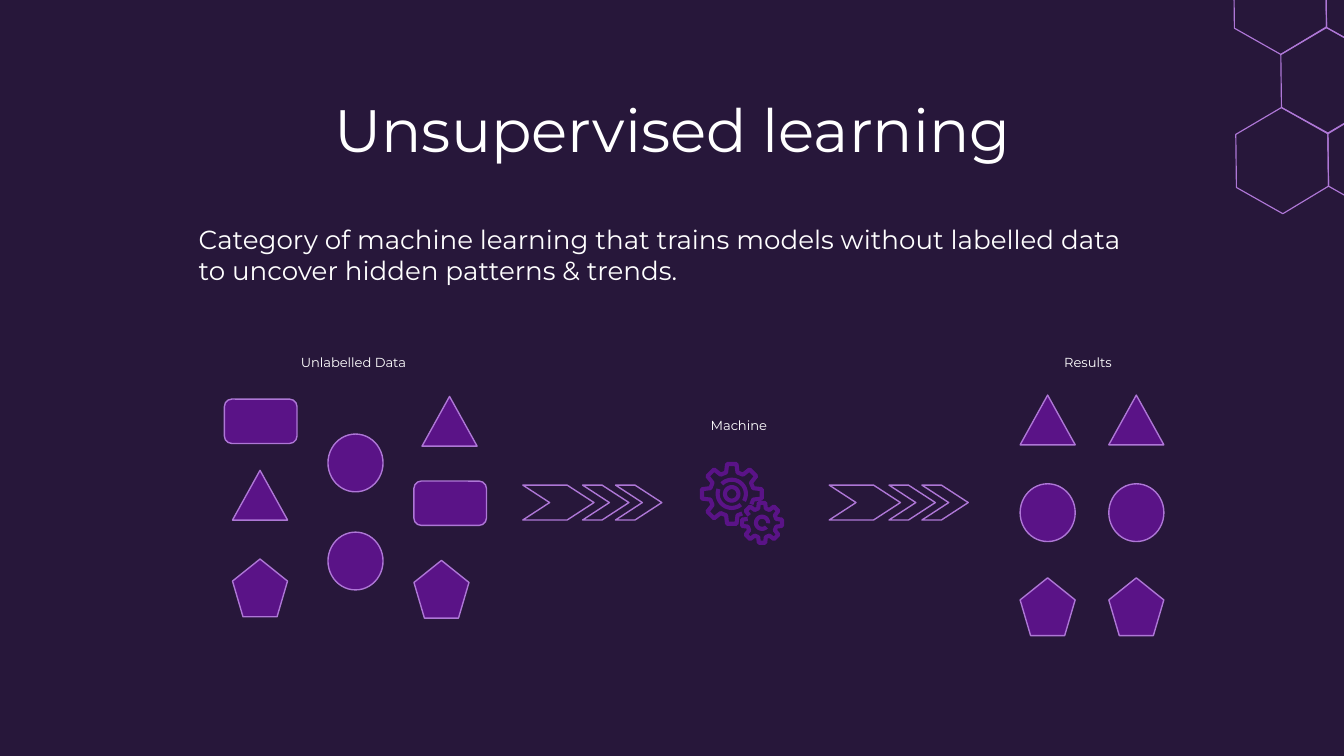
from dataclasses import dataclass
from math import cos, radians, sin

from lxml import etree
from pptx import Presentation
from pptx import util as u
from pptx.dml.color import RGBColor
from pptx.enum import shapes, text
from pptx.oxml.ns import qn

COLUMNS, ROWS = 100, 56.25
CELL = u.Inches(10) / COLUMNS

NIGHT, PURPLE, LILAC, WHITE = "27173A", "5A1387", "AE77D6", "FFFFFF"
FONT = "Montserrat"
Point = tuple[float, float]


@dataclass(frozen=True)
class Kind:
    preset: shapes.MSO_SHAPE
    width: float
    height: float


@dataclass(frozen=True)
class Item:
    kind: Kind
    column: float
    row: float


@dataclass(frozen=True)
class Gear:
    center: Point
    tip: float
    root: float
    first_tooth: int
    teeth: int
    lead: int


@dataclass(frozen=True)
class Arc:
    center: Point
    radius: float
    start: int
    end: int


@dataclass(frozen=True)
class Label:
    words: str
    column: float
    row: float
    width: float
    height: float = 2.3
    size: float = 7


CARD = Kind(shapes.MSO_SHAPE.ROUNDED_RECTANGLE, 5.4, 3.3)
TRIANGLE = Kind(shapes.MSO_SHAPE.FLOWCHART_EXTRACT, 4.1, 3.7)
CIRCLE = Kind(shapes.MSO_SHAPE.OVAL, 4.1, 4.3)
PENTAGON = Kind(shapes.MSO_SHAPE.REGULAR_PENTAGON, 4.1, 4.3)

UNLABELLED = [
    Item(CARD, 16.7, 29.7), Item(TRIANGLE, 17.3, 35), Item(PENTAGON, 17.3, 41.6),
    Item(CIRCLE, 24.4, 32.3), Item(CIRCLE, 24.4, 39.6),
    Item(TRIANGLE, 31.4, 29.5), Item(CARD, 30.8, 35.8), Item(PENTAGON, 30.8, 41.7),
]
RESULTS = [
    Item(kind, column, row)
    for kind, row in ((TRIANGLE, 29.4), (CIRCLE, 36), (PENTAGON, 43))
    for column in (75.9, 82.5)
]
LABELS = [
    Label("Category of machine learning that trains models without labelled "
          "data to uncover hidden patterns & trends.", 13.8, 15.6, 70.7, 7.4, 14),
    Label("Unlabelled Data", 21.4, 25.4, 10.9),
    Label("Machine", 51.9, 30.1, 6.6),
    Label("Results", 78.2, 25.4, 5.9),
]

HEXAGON_CENTERS = [(95.4, 11.95), (102.25, 11.85), (98.75, 6), (95.25, 0.1), (102.1, 0.05)]
HEXAGON_CORNERS = [(3.4, -2.05), (3.45, 1.9), (0.05, 3.95),
                   (-3.4, 2), (-3.45, -1.95), (-0.05, -3.95)]

ARROW_STARTS = (38.9, 61.7)
CHEVRONS = ((0, 5.3), (4.45, 3.45), (6.9, 3.45))
ARROW_TOP, ARROW_HEIGHT, ARROW_POINT = 36.1, 2.6, 2

BIG_HUB, SMALL_HUB = (54.45, 36.75), (56.7, 38.9)
GEARS = [Gear(BIG_HUB, 2.25, 1.65, 90, 7, 13), Gear(SMALL_HUB, 1.5, 1.1, 225, 8, 0)]
ARCS = [
    Arc(BIG_HUB, 0.5, 0, 360),
    Arc(BIG_HUB, 1.05, 225, 390),
    Arc(BIG_HUB, 1.05, 50, 200),
    Arc(SMALL_HUB, 0.45, 45, 365),
]
GEAR_STROKE = 2.2


def color(hex_string: str) -> RGBColor:
    return RGBColor.from_string(hex_string)


def grid(cells: float) -> u.Emu:
    return u.Emu(round(cells * CELL))


def place(shape, column: float, row: float, width: float, height: float) -> None:
    shape.left, shape.top = grid(column), grid(row)
    shape.width, shape.height = grid(width), grid(height)


def write(frame, words: str, *, size: float, align=text.PP_ALIGN.LEFT) -> None:
    frame.word_wrap = True
    frame.auto_size = text.MSO_AUTO_SIZE.NONE
    frame.vertical_anchor = text.MSO_ANCHOR.TOP
    frame.margin_left = frame.margin_right = grid(1)
    frame.margin_top = frame.margin_bottom = grid(1)
    paragraph = frame.paragraphs[0]
    paragraph.alignment = align
    run = paragraph.add_run()
    run.text = words
    run.font.name, run.font.size = FONT, u.Pt(size)
    run.font.color.rgb = color(WHITE)


def paint(shape, *, fill: str | None = None, line: str = LILAC, weight: float = 0.75) -> None:
    shape.shadow.inherit = False
    if fill:
        shape.fill.solid()
        shape.fill.fore_color.rgb = color(fill)
    else:
        shape.fill.background()
    shape.line.color.rgb = color(line)
    shape.line.width = u.Pt(weight)


def outline(slide, points: list[Point], *, close: bool = True):
    start, *rest = [(grid(x), grid(y)) for x, y in points]
    builder = slide.shapes.build_freeform(*start)
    builder.add_line_segments(rest, close=close)
    return builder.convert_to_shape()


def polar(center: Point, radius: float, angle: float) -> Point:
    return (center[0] + radius * cos(radians(angle)),
            center[1] + radius * sin(radians(angle)))


def stroke(slide, points: list[Point]) -> None:
    curve = outline(slide, points, close=False)
    paint(curve, line=PURPLE, weight=GEAR_STROKE)
    etree.SubElement(curve.line._get_or_add_ln(), qn("a:round"))


def draw_gear(slide, gear: Gear) -> None:
    profile = ((-15, gear.root), (-9, gear.tip), (9, gear.tip), (15, gear.root))
    turns = [(gear.first_tooth + 45 * tooth + shift, radius)
             for tooth in range(gear.teeth) for shift, radius in profile]
    turns.insert(0, (turns[0][0] - gear.lead, gear.root))
    turns.append((turns[-1][0] + gear.lead, gear.root))
    stroke(slide, [polar(gear.center, radius, angle) for angle, radius in turns])


def draw_arc(slide, arc: Arc) -> None:
    stroke(slide, [polar(arc.center, arc.radius, angle)
                   for angle in range(arc.start, arc.end + 1, 5)])


def draw_chevron(slide, left: float, width: float) -> None:
    right, bottom = left + width, ARROW_TOP + ARROW_HEIGHT
    middle, shoulder = ARROW_TOP + ARROW_HEIGHT / 2, right - ARROW_POINT
    paint(outline(slide, [(left, ARROW_TOP), (left + ARROW_POINT, middle), (left, bottom),
                          (shoulder, bottom), (right, middle), (shoulder, ARROW_TOP)]))


def draw_item(slide, item: Item) -> None:
    kind = item.kind
    box = map(grid, (item.column, item.row, kind.width, kind.height))
    paint(slide.shapes.add_shape(kind.preset, *box), fill=PURPLE)


def main() -> None:
    deck = Presentation()
    deck.slide_width, deck.slide_height = grid(COLUMNS), grid(ROWS)
    slide = deck.slides.add_slide(deck.slide_layouts[5])
    slide.background.fill.solid()
    slide.background.fill.fore_color.rgb = color(NIGHT)

    for x, y in HEXAGON_CENTERS:
        paint(outline(slide, [(x + dx, y + dy) for dx, dy in HEXAGON_CORNERS]), weight=0.61)

    title = slide.shapes.title
    place(title, 7.9, 5.9, 84.3, 6.3)
    write(title.text_frame, "Unsupervised learning", size=32, align=text.PP_ALIGN.CENTER)
    for label in LABELS:
        box = map(grid, (label.column, label.row, label.width, label.height))
        write(slide.shapes.add_textbox(*box).text_frame, label.words, size=label.size)

    for item in UNLABELLED + RESULTS:
        draw_item(slide, item)
    for start in ARROW_STARTS:
        for offset, width in CHEVRONS:
            draw_chevron(slide, start + offset, width)
    for gear in GEARS:
        draw_gear(slide, gear)
    for arc in ARCS:
        draw_arc(slide, arc)

    deck.save("out.pptx")


if __name__ == "__main__":
    main()
